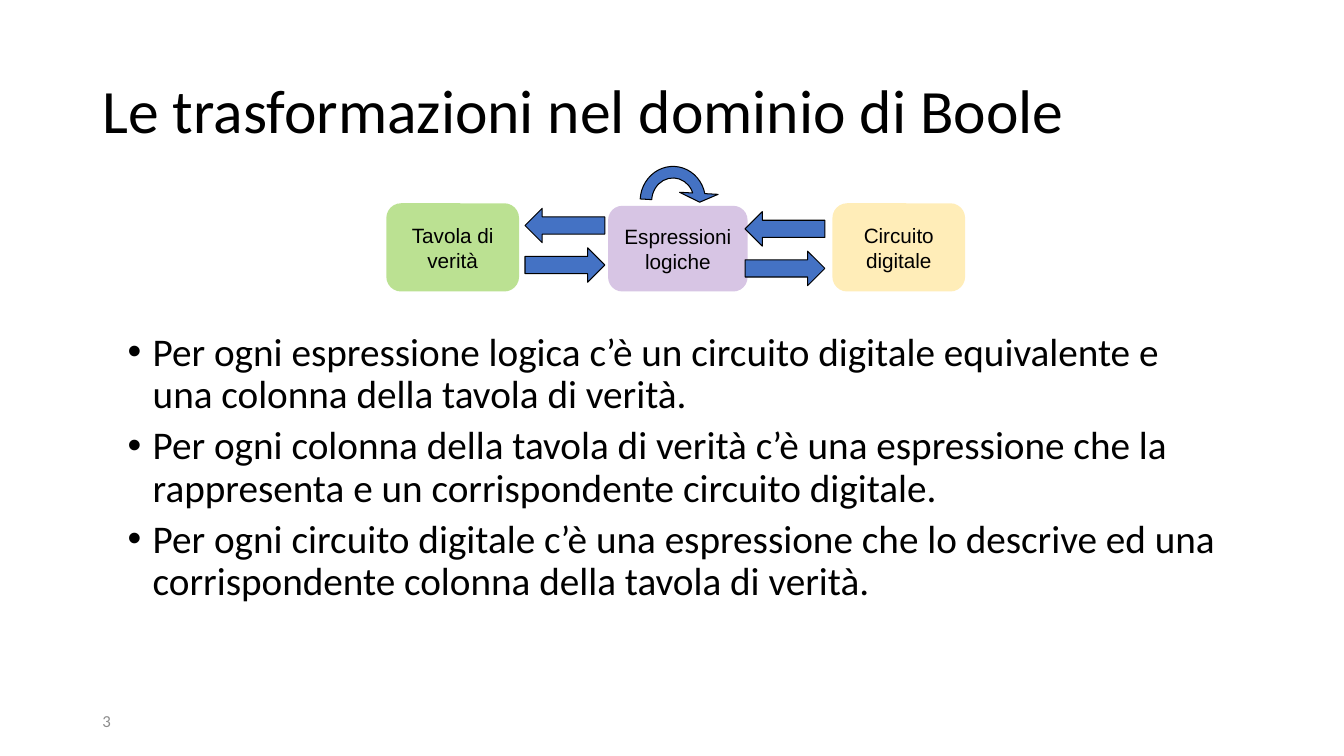
from lxml.etree import SubElement
from pptx import Presentation
from pptx.dml.color import RGBColor
from pptx.enum.shapes import MSO_SHAPE
from pptx.enum.text import MSO_ANCHOR, PP_ALIGN
from pptx.oxml.ns import qn
from pptx.util import Inches, Pt

COLS, ROWS = 80, 45
HUES = {"ink": "000000", "gray": "8C8C8C", "blue": "4472C4",
        "green": "92D050", "plum": "7030A0", "gold": "FFC000"}


class Deck:
    """Holds the style and the current slide; lengths are grid cells."""

    def __init__(self):
        self.show = Presentation()
        self.show.slide_width = Inches(13.333)
        self.show.slide_height = Inches(7.5)
        self.slide = self.show.slides.add_slide(self.show.slide_layouts[6])

    def area(self, x, y, w, h):
        wide, high = self.show.slide_width, self.show.slide_height
        return (int(x * wide / COLS), int(y * high / ROWS),
                int(w * wide / COLS), int(h * high / ROWS))

    def hue(self, name):
        return RGBColor.from_string(HUES[name])

    def style(self, para, size, face="Calibri", hue="ink"):
        para.font.size = Pt(size)
        para.font.name = face
        para.font.color.rgb = self.hue(hue)

    def text(self, spot, lines, size, hue="ink", lead=1.0,
             anchor=MSO_ANCHOR.MIDDLE, mark=None):
        frame = self.slide.shapes.add_textbox(*self.area(*spot)).text_frame
        frame.word_wrap = True
        frame.vertical_anchor = anchor
        frame.text = "\n".join(lines)
        for para in frame.paragraphs:
            para.line_spacing = lead
            if mark:
                para.space_after = Pt(6.3)
                self.bullet(para, mark)
            self.style(para, size, hue=hue)

    def bullet(self, para, mark):
        props = para._p.get_or_add_pPr()
        props.set("marL", str(Inches(0.25)))
        props.set("indent", str(-Inches(0.25)))
        SubElement(props, qn("a:buFont"), typeface="Arial")
        SubElement(props, qn("a:buChar"), char=mark)

    def shape(self, kind, spot, hue):
        item = self.slide.shapes.add_shape(kind, *self.area(*spot))
        item.shadow.inherit = False
        item.fill.solid()
        item.fill.fore_color.rgb = self.hue(hue)
        return item

    def box(self, spot, label, hue, alpha):
        item = self.shape(MSO_SHAPE.ROUNDED_RECTANGLE, spot, hue)
        item.line.fill.background()
        tint = item.fill._xPr.find(".//" + qn("a:srgbClr"))
        SubElement(tint, qn("a:alpha"), val=str(alpha * 1000))
        frame = item.text_frame
        frame.word_wrap = True
        frame.vertical_anchor = MSO_ANCHOR.MIDDLE
        frame.margin_left = frame.margin_right = Inches(0.11)
        frame.text = label
        para = frame.paragraphs[0]
        para.alignment = PP_ALIGN.CENTER
        self.style(para, 14.8, "Arial")

    def arrow(self, kind, spot, turn=0, bends=()):
        item = self.shape(kind, spot, "blue")
        item.line.color.rgb = self.hue("ink")
        item.line.width = Pt(0.75)
        item.rotation = turn
        for i, bend in enumerate(bends):
            item.adjustments[i] = bend


def main():
    deck = Deck()

    # Title, body and page number
    deck.text((5.5, 2.4, 69, 8.7),
              ["Le trasformazioni nel dominio di Boole"], 44, lead=0.9)
    deck.text((7, 19.5, 66, 20.7), [
        "Per ogni espressione logica c’è un circuito digitale equivalente e "
        "una colonna della tavola di verità.",
        "Per ogni colonna della tavola di verità c’è una espressione che la "
        "rappresenta e un corrispondente circuito digitale.",
        "Per ogni circuito digitale c’è una espressione che lo descrive ed "
        "una corrispondente colonna della tavola di verità.",
    ], 28, lead=0.9, anchor=MSO_ANCHOR.TOP, mark="•")
    deck.text((5.5, 41.7, 18, 2.4), ["3"], 12, hue="gray")

    # Three forms of a function
    deck.box((23, 12.1, 7.9, 5.25), "Tavola di verità", "green", 62)
    deck.box((36.2, 12.25, 8.3, 5.1), "Espressioni logiche", "plum", 28)
    deck.box((49.55, 12.1, 7.9, 5.25), "Circuito digitale", "gold", 28)

    # Loop over the middle box
    deck.arrow(MSO_SHAPE.CIRCULAR_ARROW, (37.3, 9.1, 5.5, 5.7), 3.1,
               (0.125, 11.423, 204.577, 108, 0.209))

    # Pairs of arrows, there and back
    for x, y in ((31.25, 12.4), (44.35, 12.6)):
        for step, turn in ((0, 0), (2.35, 180)):
            deck.arrow(MSO_SHAPE.LEFT_ARROW, (x, y + step, 4.75, 2.05), turn)

    deck.show.save("out.pptx")


if __name__ == "__main__":
    main()
